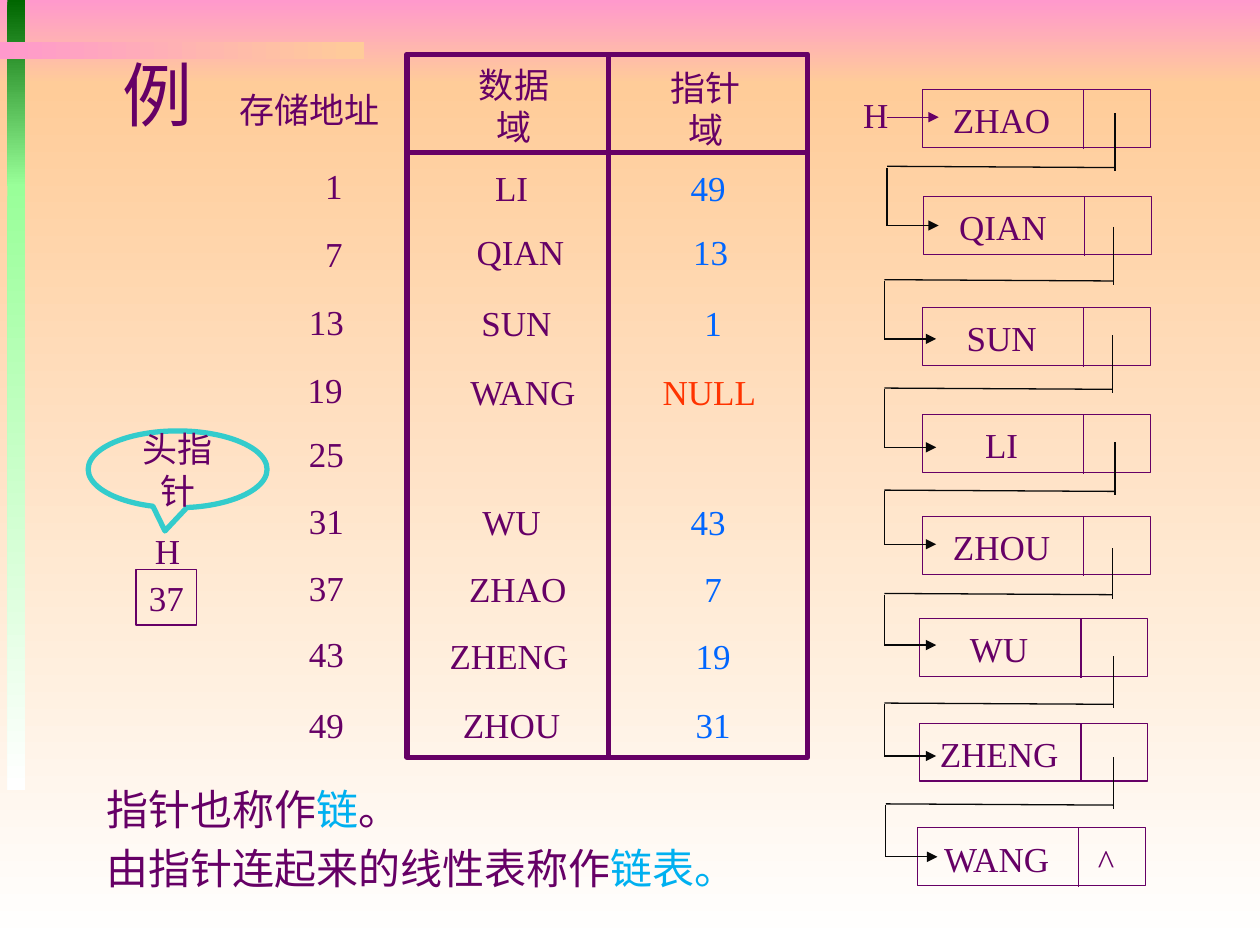
"""Build a slide that explains a linked list by its storage table and its node chain."""
from dataclasses import dataclass

from lxml.etree import SubElement
from pptx import Presentation
from pptx.dml.color import RGBColor
from pptx.enum.shapes import MSO_CONNECTOR as Connector, MSO_SHAPE as Shape
from pptx.enum.text import MSO_ANCHOR as Anchor, MSO_AUTO_SIZE as AutoSize, PP_ALIGN as Align
from pptx.oxml.ns import qn
from pptx.util import Inches, Pt


@dataclass(frozen=True)
class Theme:
    ink: str = "660066"
    pointer: str = "0066FF"
    null: str = "FF3300"
    link: str = "080808"
    callout: str = "33CCCC"
    accent: str = "00B0F0"
    pink: str = "FF99CC"
    peach: str = "FFCC99"
    green: str = "006600"
    mint: str = "99FF99"
    white: str = "FFFFFF"
    font: str = "Times New Roman"
    note_font: str = "Arial"
    body: int = 20
    note: int = 24
    title: int = 40
    thin: float = 0.75
    thick: float = 3


theme = Theme()
presentation = Presentation()
presentation.slide_width, presentation.slide_height = Inches(10), Inches(7.5)
slide = presentation.slides.add_slide(presentation.slide_layouts[6])
COLUMN = presentation.slide_width / 10
ROW = presentation.slide_height / 7.5


def add_label(text, center, middle, width, color=theme.ink, size=theme.body, height=0.43):
    box = slide.shapes.add_textbox(
        int((center - width / 2) * COLUMN), int((middle - height / 2) * ROW),
        int(width * COLUMN), int(height * ROW))
    frame = box.text_frame
    frame.text = text
    frame.word_wrap = False
    frame.auto_size = AutoSize.SHAPE_TO_FIT_TEXT
    frame.vertical_anchor = Anchor.MIDDLE
    paragraph = frame.paragraphs[0]
    paragraph.alignment = Align.CENTER
    font = paragraph.runs[0].font
    font.name, font.size = theme.font, Pt(size)
    font.color.rgb = RGBColor.from_string(color)


def add_line(x1, y1, x2, y2, color=theme.ink, weight=theme.thin, arrow=False):
    connector = slide.shapes.add_connector(
        Connector.STRAIGHT, int(x1 * COLUMN), int(y1 * ROW), int(x2 * COLUMN), int(y2 * ROW))
    connector.line.width = Pt(weight)
    connector.line.color.rgb = RGBColor.from_string(color)
    if arrow:
        SubElement(connector.line._get_or_add_ln(), qn("a:tailEnd"), type="triangle")
    SubElement(connector._element.spPr, qn("a:effectLst"))


bands = [
    (0, 0, 10, 0.67, theme.pink, theme.peach, 270),
    (0, 0.67, 10, 6.83, theme.peach, theme.white, 270),
    (0.06, 0, 0.14, 1.48, theme.green, theme.mint, 270),
    (0.06, 1.46, 0.14, 4.81, theme.mint, theme.white, 270),
    (0, 0.33, 2.89, 0.14, theme.pink, theme.peach, 0),
]
for left, top, width, height, start, end, angle in bands:
    band = slide.shapes.add_shape(
        Shape.RECTANGLE, int(left * COLUMN), int(top * ROW), int(width * COLUMN), int(height * ROW))
    band.shadow.inherit = False
    band.line.fill.background()
    band.fill.gradient()
    band.fill.gradient_angle = angle
    for stop, color in zip(band.fill.gradient_stops, (start, end)):
        stop.color.rgb = RGBColor.from_string(color)

nodes = [
    ("ZHAO", 7.32, 0.71, 0.98), ("QIAN", 7.33, 1.56, 0.9), ("SUN", 7.32, 2.44, 0.76),
    ("LI", 7.32, 3.29, 0.46), ("ZHOU", 7.32, 4.1, 0.98), ("WU", 7.3, 4.91, 0.67),
    ("ZHENG", 7.3, 5.74, 1.15), ("WANG", 7.28, 6.57, 1.07),
]
outlines = [
    (Shape.RECTANGLE, 3.23, 0.43, 3.18, 5.58, theme.ink, theme.thick, ""),
    (Shape.RECTANGLE, 1.08, 4.52, 0.48, 0.44, theme.ink, theme.thin, "37"),
    (Shape.OVAL_CALLOUT, 0.7, 3.42, 1.42, 0.61, theme.callout, theme.thick, "头指针"),
]
outlines += [(Shape.RECTANGLE, left, top, 1.81, 0.46, theme.ink, theme.thin, "")
             for name, left, top, width in nodes]
for kind, left, top, width, height, color, weight, text in outlines:
    shape = slide.shapes.add_shape(
        kind, int(left * COLUMN), int(top * ROW), int(width * COLUMN), int(height * ROW))
    shape.shadow.inherit = False
    shape.fill.background()
    shape.line.color.rgb = RGBColor.from_string(color)
    shape.line.width = Pt(weight)
    if kind == Shape.OVAL_CALLOUT:
        shape.adjustments[0], shape.adjustments[1] = -0.071, 0.802
    if text:
        frame = shape.text_frame
        frame.text = text
        frame.word_wrap = kind == Shape.OVAL_CALLOUT
        frame.vertical_anchor = Anchor.MIDDLE
        paragraph = frame.paragraphs[0]
        paragraph.alignment = Align.CENTER
        font = paragraph.runs[0].font
        font.name, font.size = theme.font, Pt(theme.body)
        font.color.rgb = RGBColor.from_string(theme.ink)

add_label("例", 1.25, 0.74, 0.76, size=theme.title, height=0.77)
add_label("存储地址", 2.46, 0.87, 1.31, height=0.63)
add_label("数据域", 4.08, 0.84, 1.03, height=0.65)
add_label("指针域", 5.6, 0.86, 1.03, height=0.65)
add_label("H", 1.33, 4.37, 0.4)
add_line(3.23, 1.21, 6.42, 1.21, weight=theme.thick)
add_line(4.83, 0.43, 4.83, 6.01, weight=theme.thick)

records = [
    ("1", 2.65, 1.47, "LI", 4.06, 0.64, "49", 5.62, 1.49),
    ("7", 2.65, 2.01, "QIAN", 4.13, 1.18, "13", 5.64, 2),
    ("13", 2.59, 2.55, "SUN", 4.1, 1.27, "1", 5.66, 2.56),
    ("19", 2.58, 3.09, "WANG", 4.15, 1.37, "NULL", 5.63, 3.11),
    ("25", 2.59, 3.6, "", 0, 0, "", 0, 0),
    ("31", 2.59, 4.13, "WU", 4.06, 1.16, "43", 5.62, 4.14),
    ("37", 2.59, 4.66, "ZHAO", 4.11, 1.2, "7", 5.66, 4.67),
    ("43", 2.59, 5.19, "ZHENG", 4.04, 1.49, "19", 5.66, 5.2),
    ("49", 2.59, 5.75, "ZHOU", 4.06, 1.25, "31", 5.66, 5.75),
]
for address, address_x, address_y, name, name_x, width, target, target_x, middle in records:
    add_label(address, address_x, address_y, 0.2 + 0.14 * len(address))
    if name:
        add_label(name, name_x, middle, width)
        is_null = target == "NULL"
        add_label(target, target_x, middle, 0.94 if is_null else 0.2 + 0.14 * len(target),
                  theme.null if is_null else theme.pointer)

for name, left, top, width in nodes:
    add_line(left + 1.28, top, left + 1.28, top + 0.47)
    add_label(name, left + 0.63, top + 0.24, width)
add_label("^", 8.78, 6.83, 0.33)
add_label("H", 6.95, 0.91, 0.4)
add_line(7.04, 0.93, 7.45, 0.93, arrow=True)

links = [
    (8.85, 7.04, 0.9, 0.46), (8.84, 7.02, 1.8, 0.46), (8.83, 7.02, 2.66, 0.46),
    (8.85, 7.02, 3.51, 0.42), (8.83, 7.02, 4.35, 0.4), (8.84, 7.02, 5.21, 0.41),
    (8.84, 7.03, 6.01, 0.41),
]
for right, left, top, drop in links:
    turn = top + drop - 0.03
    add_line(right, top, right, top + drop, theme.link)
    add_line(right, turn, left, turn - 0.01, theme.link)
    add_line(left, turn, left, turn + drop, theme.link)
    add_line(left, turn + drop, left + 0.41, turn + drop, theme.link, arrow=True)

notes = [
    [("指针也称作", theme.ink), ("链", theme.accent), ("。", theme.ink)],
    [("由指针连起来的线性表称作", theme.ink), ("链表。", theme.accent)],
]
box = slide.shapes.add_textbox(
    int(0.75 * COLUMN), int(6.17 * ROW), int(5.38 * COLUMN), int(0.99 * ROW))
frame = box.text_frame
frame.word_wrap = True
frame.auto_size = AutoSize.SHAPE_TO_FIT_TEXT
for index, pieces in enumerate(notes):
    paragraph = frame.add_paragraph() if index else frame.paragraphs[0]
    paragraph.space_before = Pt(0.2 * theme.note)
    for text, color in pieces:
        run = paragraph.add_run()
        run.text = text
        run.font.name, run.font.size = theme.note_font, Pt(theme.note)
        run.font.color.rgb = RGBColor.from_string(color)

presentation.save("out.pptx")
